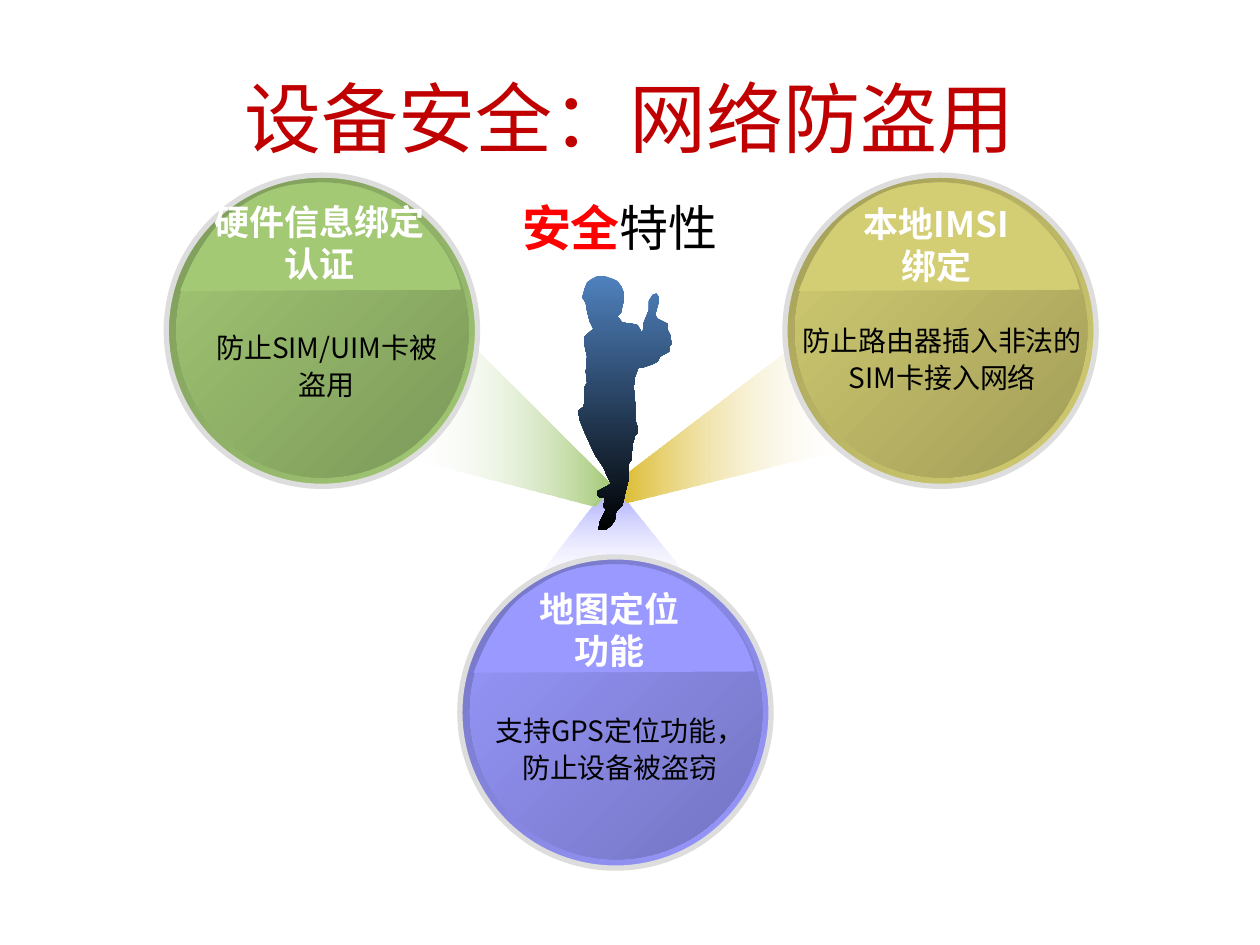
import pptx
import pptx.util
import pptx.dml.color
import pptx.enum.shapes
import pptx.enum.text
import pptx.oxml
import pptx.oxml.ns

Inches = pptx.util.Inches
Pt = pptx.util.Pt
qn = pptx.oxml.ns.qn

THEME = {
    "red": "C00000", "hot": "FF0000", "ink": "000000", "white": "FFFFFF",
    "rim": "DDDDDD", "shade": "003300", "steel": "4F81BD",
    "font": "Noto Sans CJK SC", "latin": "Arial",
    "title": 44, "slogan": 28, "head": 20, "note": 16,
}

TITLE = "设备安全：网络防盗用"
SLOGAN = [("安全", "hot", True), ("特性", "ink", False)]
DISCS = [
    {"at": (1.32, 1.39), "light": "A3C975", "dark": "7C9959",
     "head": ("硬件信息绑定认证", (1.53, 1.54, 2.01, 0.77)),
     "note": ("防止SIM/UIM卡被盗用", (1.53, 2.55, 2.13, 0.69))},
    {"at": (6.23, 1.39), "light": "D3CE73", "dark": "A19D57",
     "head": ("本地IMSI绑定", (6.71, 1.56, 1.44, 0.77)),
     "note": ("防止路由器插入非法的SIM卡接入网络", (6.26, 2.49, 2.44, 0.69))},
    {"at": (3.65, 4.42), "light": "9999FF", "dark": "7474C2",
     "head": ("地图定位功能", (4.13, 4.61, 1.42, 0.77)),
     "note": ("支持GPS定位功能，防止设备被盗窃", (3.74, 5.59, 2.36, 0.69))},
]
BEAMS = [
    ([(4.84, 3.83), (4.94, 3.94), (5.55, 4.69), (4.84, 4.45), (4.16, 4.71)],
     ("9999FF", 1), ("FFFFFF", 0), 90),
    ([(4.97, 3.99), (4.86, 3.84), (6.28, 2.76), (6.76, 3.55)],
     ("DAB720", 1), ("FFFFFF", 0), 0),
    ([(4.86, 3.85), (4.72, 4.02), (3.25, 3.64), (3.8, 2.79)],
     ("FFFFFF", 0), ("A3C975", 1), 0),
]
CAP = [
    [(2.34, 0.91), (2.28, 0.65), (2.12, 0.47), (1.98, 0.34)],
    [(1.98, 0.34), (1.83, 0.21), (1.6, 0.06), (1.22, 0.06)],
    [(1.22, 0.06), (0.84, 0.06), (0.69, 0.18), (0.5, 0.31)],
    [(0.5, 0.31), (0.31, 0.45), (0.15, 0.8), (0.11, 0.92)],
]
FIGURE = [
    (4.65, 2.41), (4.66, 2.47), (4.68, 2.55), (4.71, 2.61), (4.64, 2.67),
    (4.64, 2.74), (4.66, 2.83), (4.65, 2.95), (4.66, 3.04), (4.64, 3.07),
    (4.64, 3.19), (4.63, 3.23), (4.59, 3.26), (4.6, 3.33), (4.64, 3.43),
    (4.69, 3.54), (4.73, 3.62), (4.79, 3.71), (4.82, 3.78), (4.85, 3.84),
    (4.74, 3.9), (4.74, 3.93), (4.76, 3.95), (4.82, 3.94), (4.8, 3.95),
    (4.79, 4.02), (4.81, 4.04), (4.76, 4.14), (4.75, 4.21), (4.8, 4.21),
    (4.85, 4.17), (4.88, 4.13), (4.89, 4.06), (4.94, 4.01), (4.97, 3.88),
    (4.99, 3.8), (4.99, 3.68), (5.01, 3.65), (5.02, 3.53), (5.04, 3.46),
    (5.06, 3.44), (5.06, 3.39), (5.04, 3.33), (5.04, 3.19), (5.03, 3.07),
    (5.04, 2.99), (5.07, 2.91), (5.09, 2.92), (5.18, 2.89), (5.22, 2.87),
    (5.24, 2.83), (5.31, 2.79), (5.31, 2.75), (5.33, 2.73), (5.32, 2.66),
    (5.3, 2.62), (5.3, 2.57), (5.22, 2.53), (5.2, 2.5), (5.23, 2.39),
    (5.23, 2.36), (5.21, 2.33), (5.18, 2.34), (5.15, 2.39), (5.15, 2.46),
    (5.11, 2.56), (5.1, 2.65), (5.06, 2.58), (5.02, 2.57), (4.94, 2.56),
    (4.9, 2.51), (4.93, 2.48), (4.94, 2.43), (4.95, 2.39), (4.95, 2.36),
    (4.95, 2.32), (4.93, 2.27), (4.9, 2.23), (4.86, 2.21), (4.8, 2.19),
    (4.74, 2.19), (4.7, 2.21), (4.66, 2.24), (4.64, 2.29), (4.63, 2.33),
    (4.62, 2.36), (4.64, 2.39),
]


def tone(name):
    return pptx.dml.color.RGBColor.from_string(THEME.get(name, name))


def paint(shape, first, last=None, angle=0):
    shape.shadow.inherit = False
    shape.line.fill.background()
    if last is None:
        shape.fill.solid()
        shape.fill.fore_color.rgb = tone(first[0])
        return
    shape.fill.gradient()
    shape.fill.gradient_angle = -angle % 360
    for stop, (name, alpha) in zip(shape.fill.gradient_stops, (first, last)):
        stop.color.rgb = tone(name)
        if alpha < 1:
            color = shape.fill._xPr.findall(".//" + qn("a:srgbClr"))[-1]
            color = [c for c in shape.fill._xPr.iter(qn("a:srgbClr"))
                     if c.get("val") == name][0] if color.get("val") != name else color
            pptx.oxml.parse_xml(
                '<a:alpha %s val="0"/>' % pptx.oxml.ns.nsdecls("a"))
            color.append(pptx.oxml.parse_xml(
                '<a:alpha %s val="0"/>' % pptx.oxml.ns.nsdecls("a")))


def outline(slide, points):
    dots = [(Inches(x), Inches(y)) for x, y in points]
    pen = slide.shapes.build_freeform(*dots[0], scale=1.0)
    pen.add_line_segments(dots[1:], close=True)
    return pen.convert_to_shape()


def disc(slide, box, first, last):
    kind = pptx.enum.shapes.MSO_SHAPE.OVAL
    shape = slide.shapes.add_shape(kind, *map(Inches, box))
    paint(shape, (first, 1), (last, 1), 45)
    return shape


def bend(curve, steps=12):
    for step in range(steps + 1):
        t = step / steps
        rates = ((1 - t) ** 3, 3 * t * (1 - t) ** 2, 3 * t * t * (1 - t), t ** 3)
        yield tuple(sum(r * p[axis] for r, p in zip(rates, curve)) for axis in (0, 1))


def write(frame, runs, size, font="font", space=None, shade=False):
    para = frame.paragraphs[0]
    style = {"alignment": pptx.enum.text.PP_ALIGN.CENTER, "line_spacing": space}
    for key, value in style.items():
        setattr(para, key, value)
    for text, color, bold in runs:
        run = para.add_run()
        run.text = text
        look = {"size": Pt(THEME[size]), "name": THEME[font], "bold": bold}
        for key, value in look.items():
            setattr(run.font, key, value)
        run.font.color.rgb = tone(color)
        props = run._r.get_or_add_rPr()
        latin = props.find(qn("a:latin"))
        latin.addnext(pptx.oxml.parse_xml('<a:ea %s typeface="%s"/>' % (
            pptx.oxml.ns.nsdecls("a"), THEME["font"])))
        if shade:
            latin.addprevious(pptx.oxml.parse_xml(
                '<a:effectLst %s><a:outerShdw dist="38100" dir="2700000">'
                '<a:srgbClr val="%s"/></a:outerShdw></a:effectLst>'
                % (pptx.oxml.ns.nsdecls("a"), THEME["shade"])))


def label(slide, box, runs, size, **style):
    frame = slide.shapes.add_textbox(*map(Inches, box)).text_frame
    frame.word_wrap = True
    write(frame, runs, size, **style)


def main():
    deck = pptx.Presentation()
    deck.slide_width, deck.slide_height = Inches(10), Inches(7.5)
    slide = deck.slides.add_slide(deck.slide_layouts[5])

    title = slide.shapes.title
    place = dict(zip(("left", "top", "width", "height"), (0.5, 0.3, 9, 1.25)))
    for key, value in place.items():
        setattr(title, key, Inches(value))
    title.text_frame.vertical_anchor = pptx.enum.text.MSO_ANCHOR.MIDDLE
    write(title.text_frame, [(TITLE, "red", False)], "title", font="latin")

    for points, first, last, angle in BEAMS:
        paint(outline(slide, points), first, last, angle)

    for item in DISCS:
        x, y = item["at"]
        rim = disc(slide, (x, y, 2.47, 2.47), item["dark"], item["light"])
        rim.line.color.rgb = tone("rim")
        rim.line.width = Pt(3)
        disc(slide, (x + 0.08, y + 0.06, 2.32, 2.34), item["light"], item["dark"])
        cap = [(x + a, y + b) for curve in CAP for a, b in bend(curve)]
        paint(outline(slide, cap), (item["light"], 1))
        text, box = item["head"]
        label(slide, box, [(text, "white", True)], "head", shade=True)
        text, box = item["note"]
        label(slide, box, [(text, "ink", False)], "note", space=1.1)

    label(slide, (3.74, 1.52, 2.36, 0.57), SLOGAN, "slogan")
    paint(outline(slide, FIGURE), ("steel", 1), ("ink", 1), 90)
    deck.save("out.pptx")


if __name__ == "__main__":
    main()
